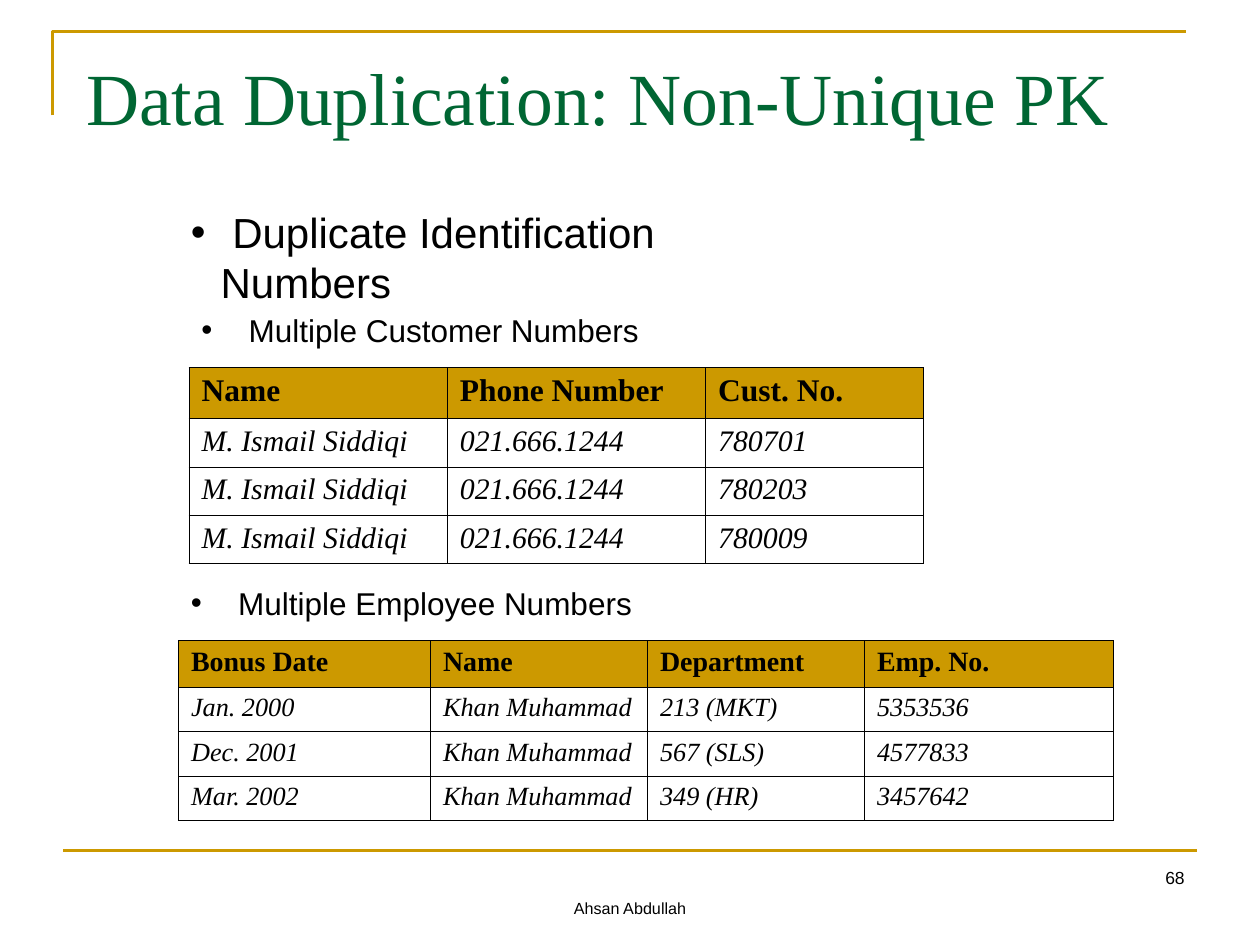
"""Build the slide on duplicate primary keys with its two example tables."""
from lxml.etree import SubElement
from pptx import Presentation
from pptx.dml.color import RGBColor
from pptx.enum.shapes import MSO_CONNECTOR
from pptx.enum.text import MSO_ANCHOR, MSO_AUTO_SIZE, PP_ALIGN
from pptx.oxml import parse_xml
from pptx.oxml.ns import nsdecls, qn
from pptx.util import Pt

GOLD = RGBColor(0xCC, 0x99, 0x00)
GREEN = RGBColor(0x00, 0x66, 0x33)
BLACK = RGBColor(0x00, 0x00, 0x00)
WHITE = RGBColor(0xFF, 0xFF, 0xFF)
SANS = "Arial"
SERIF = "Times New Roman"


def add_text(slide, box, text, size, alignment=PP_ALIGN.LEFT, hanging=0):
    text_frame = slide.shapes.add_textbox(*map(Pt, box)).text_frame
    text_frame.word_wrap = True
    text_frame.text = text
    paragraph = text_frame.paragraphs[0]
    paragraph.alignment = alignment
    if hanging:
        properties = paragraph._p.get_or_add_pPr()
        properties.set("marL", str(Pt(hanging)))
        properties.set("indent", str(-Pt(hanging)))
        SubElement(properties, qn("a:buFont"), typeface=SANS)
        SubElement(properties, qn("a:buChar"), char="•")
    font = paragraph.runs[0].font
    font.name = SANS
    font.size = Pt(size)
    font.color.rgb = BLACK


def add_grid(slide, left, top, widths, heights, sizes, rows):
    table = slide.shapes.add_table(
        len(rows), len(widths), Pt(left), Pt(top), Pt(sum(widths)), Pt(sum(heights))
    ).table
    for column, width in zip(table.columns, widths):
        column.width = Pt(width)
    for row_index, values in enumerate(rows):
        is_header = row_index == 0
        table.rows[row_index].height = Pt(heights[row_index])
        for column_index, value in enumerate(values):
            cell = table.cell(row_index, column_index)
            cell.text = value
            font = cell.text_frame.paragraphs[0].runs[0].font
            font.name = SERIF
            font.size = Pt(sizes[0] if is_header else sizes[1])
            font.bold = is_header
            font.italic = not is_header
            font.color.rgb = BLACK
            if is_header:
                cell.fill.solid()
                cell.fill.fore_color.rgb = GOLD
            else:
                cell.fill.background()
            properties = cell._tc.get_or_add_tcPr()
            for position, side in enumerate("LRTB"):
                border = parse_xml(
                    f'<a:ln{side} {nsdecls("a")} w="{Pt(0.45)}"><a:solidFill>'
                    f'<a:srgbClr val="{BLACK}"/></a:solidFill></a:ln{side}>'
                )
                properties.insert(position, border)


presentation = Presentation()
presentation.slide_width = Pt(720)
presentation.slide_height = Pt(540)
slide = presentation.slides.add_slide(presentation.slide_layouts[5])

title = slide.shapes.title
title.left, title.top, title.width, title.height = Pt(42), Pt(30), Pt(624), Pt(54)
title.fill.solid()
title.fill.fore_color.rgb = WHITE
title_frame = title.text_frame
title_frame.text = "Data Duplication: Non-Unique PK"
title_frame.auto_size = MSO_AUTO_SIZE.NONE
title_frame.vertical_anchor = MSO_ANCHOR.BOTTOM
title_paragraph = title_frame.paragraphs[0]
title_paragraph.alignment = PP_ALIGN.LEFT
title_font = title_paragraph.runs[0].font
title_font.name = SERIF
title_font.size = Pt(42)
title_font.color.rgb = GREEN

builder = slide.shapes.build_freeform(Pt(30), Pt(66))
builder.add_line_segments([(Pt(30), Pt(18)), (Pt(678), Pt(18))], close=False)
corner = builder.convert_to_shape()
corner.shadow.inherit = False
corner.fill.background()
footer_rule = slide.shapes.add_connector(
    MSO_CONNECTOR.STRAIGHT, Pt(36), Pt(486), Pt(684), Pt(486)
)
SubElement(footer_rule._element.spPr, qn("a:effectLst"))
for shape in (corner, footer_rule):
    shape.line.color.rgb = GOLD
    shape.line.width = Pt(1.5)

add_text(slide, (102, 114.5, 375, 36), " Duplicate Identification Numbers", 24, hanging=17)
add_text(slide, (108, 174, 280, 29), "Multiple Customer Numbers", 18, hanging=27)
add_text(slide, (102, 330, 280, 29), "Multiple Employee Numbers", 18, hanging=27)

customer_rows = [("Name", "Phone Number", "Cust. No.")] + [
    ("M. Ismail Siddiqi", "021.666.1244", number)
    for number in ("780701", "780203", "780009")
]
add_grid(slide, 108, 210, (147.6, 147.6, 124.6), [29.2] + [27.6] * 3, (18, 17), customer_rows)

bonuses = [
    ("Jan. 2000", "213 (MKT)", "5353536"),
    ("Dec. 2001", "567 (SLS)", "4577833"),
    ("Mar. 2002", "349 (HR)", "3457642"),
]
employee_rows = [("Bonus Date", "Name", "Department", "Emp. No.")] + [
    (date, "Khan Muhammad", department, number) for date, department, number in bonuses
]
add_grid(slide, 102, 366, (144, 124, 124, 142), [26.7] + [25.4] * 3, (16, 15), employee_rows)

add_text(slide, (246, 510, 228, 19), "Ahsan Abdullah", 9.2, PP_ALIGN.CENTER)
add_text(slide, (516, 492, 168, 37), "68", 10, PP_ALIGN.RIGHT)

presentation.save("out.pptx")
